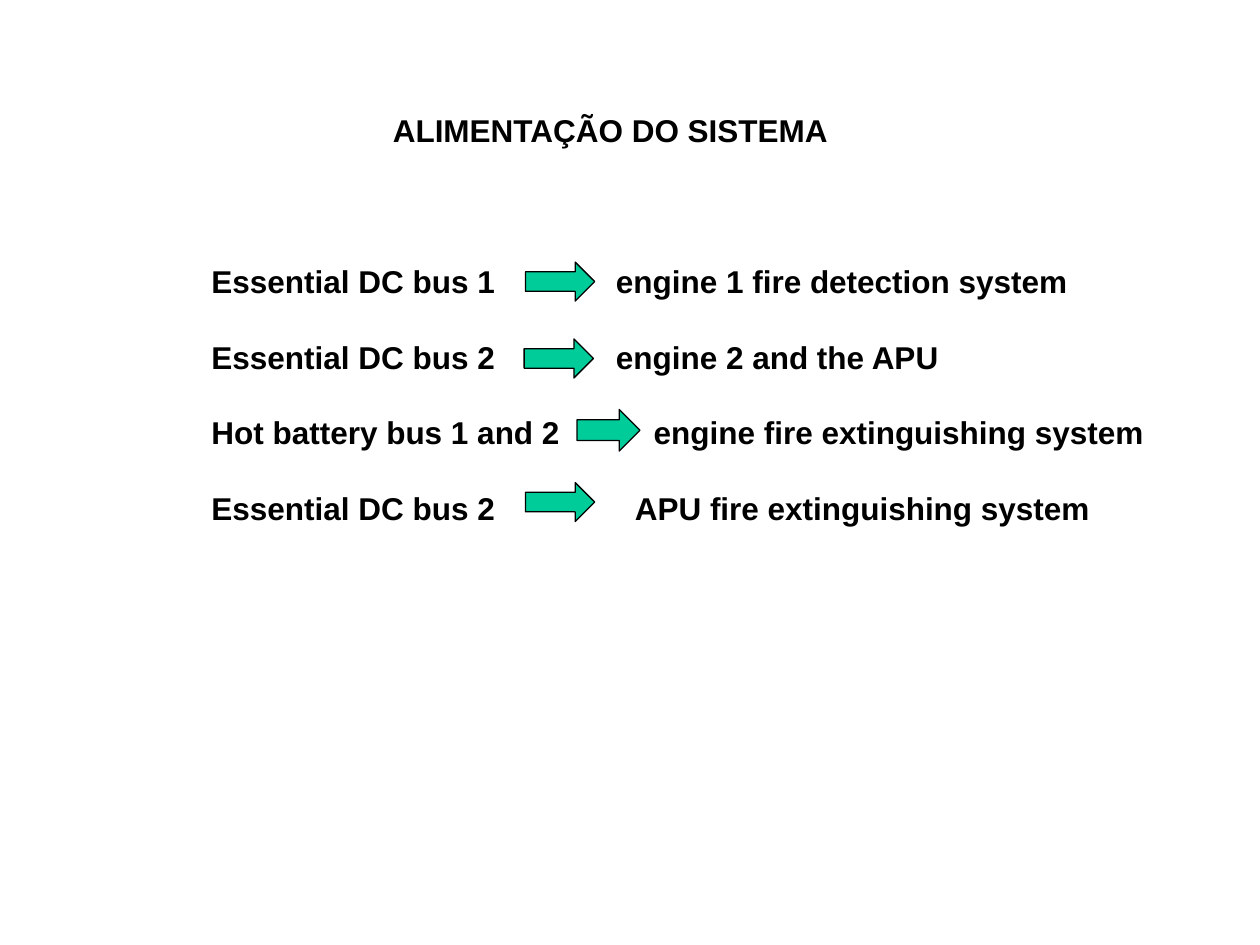
from lxml.etree import SubElement
from pptx import Presentation
from pptx.dml.color import RGBColor
from pptx.enum.shapes import MSO_SHAPE as Shape
from pptx.enum.text import MSO_AUTO_SIZE as AutoSize, PP_ALIGN as Align
from pptx.oxml.ns import qn
from pptx.util import Inches, Pt

COLORS = {"text": "000000", "arrow": "00CC99", "outline": "000000"}


def write(paragraph, text, size=18, bold=True, align=Align.LEFT, before=0, tab=None):
    paragraph.alignment = align
    paragraph.space_before = Pt(before)
    if tab is not None:
        stops = SubElement(paragraph._p.get_or_add_pPr(), qn("a:tabLst"))
        SubElement(stops, qn("a:tab"), pos=str(Inches(tab)), algn="l")
    run = paragraph.add_run()
    run.text = text
    run.font.name = "Arial"
    run.font.size = Pt(size)
    run.font.bold = bold
    run.font.color.rgb = RGBColor.from_string(COLORS["text"])


prs = Presentation()
prs.slide_width = Inches(10)
prs.slide_height = Inches(7.5)
slide = prs.slides.add_slide(prs.slide_layouts[6])

title = slide.shapes.add_textbox(Inches(3.01), Inches(0.83), Inches(3.67), Inches(0.4)).text_frame
title.word_wrap = False
title.auto_size = AutoSize.SHAPE_TO_FIT_TEXT
write(title.paragraphs[0], "ALIMENTAÇÃO DO SISTEMA", align=Align.CENTER)

supplies = [
    ("Essential DC bus 1", "engine 1 fire detection system", 3.21, (4.17, 2.08, 0.55, 0.31)),
    ("Essential DC bus 2", "engine 2 and the APU", 3.21, (4.16, 2.69, 0.55, 0.31)),
    ("Hot battery bus 1 and 2", "engine fire extinguishing system", 3.51, (4.58, 3.25, 0.5, 0.33)),
    ("Essential DC bus 2", "APU fire extinguishing system", 3.36, (4.17, 3.83, 0.55, 0.31)),
]

supply_list = slide.shapes.add_textbox(Inches(1.58), Inches(2.03), Inches(7.92), Inches(2.2)).text_frame
supply_list.word_wrap = True
supply_list.auto_size = AutoSize.SHAPE_TO_FIT_TEXT

for row, (bus, load, tab, arrow_box) in enumerate(supplies):
    line = supply_list.add_paragraph() if row else supply_list.paragraphs[0]
    write(line, f"{bus}\t{load}", before=21.6 if row else 0, tab=tab)

    arrow = slide.shapes.add_shape(Shape.RIGHT_ARROW, *map(Inches, arrow_box))
    arrow.shadow.inherit = False
    arrow.fill.solid()
    arrow.fill.fore_color.rgb = RGBColor.from_string(COLORS["arrow"])
    arrow.line.color.rgb = RGBColor.from_string(COLORS["outline"])
    arrow.line.width = Pt(0.75)

prs.save("out.pptx")
